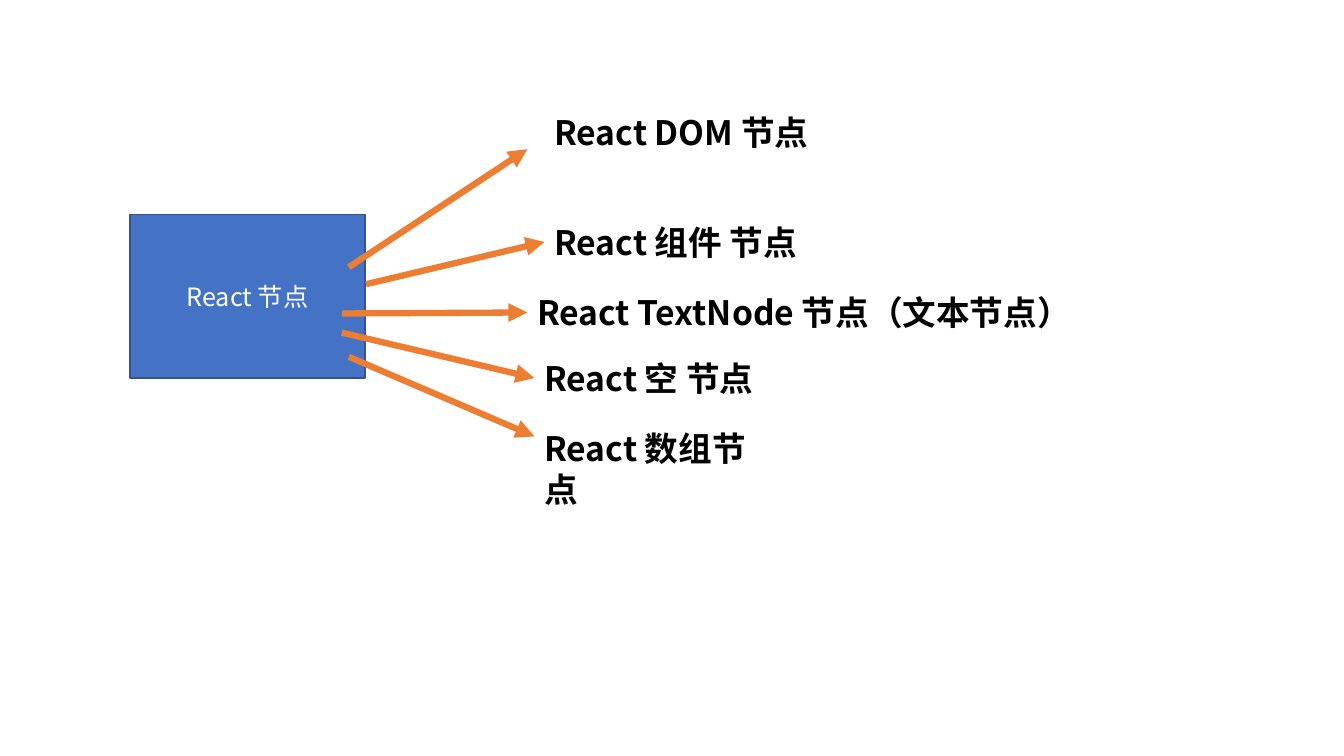
from lxml import etree
from pptx import Presentation
from pptx.dml.color import RGBColor
from pptx.enum.shapes import MSO_CONNECTOR, MSO_SHAPE
from pptx.enum.text import MSO_ANCHOR, MSO_AUTO_SIZE, PP_ALIGN
from pptx.oxml.ns import qn
from pptx.util import Inches, Pt

RECT = MSO_SHAPE.RECTANGLE
STRAIGHT = MSO_CONNECTOR.STRAIGHT
MIDDLE = MSO_ANCHOR.MIDDLE
CENTER = PP_ALIGN.CENTER
GROW = MSO_AUTO_SIZE.SHAPE_TO_FIT_TEXT

FONT = "Noto Sans CJK SC"
ROOT = ("React 节点", 1.29, 2.13, 2.33, 1.62)
LABEL_H = 0.5
LEFT_SIDE = 1

# text, left, top, width, arrow start, arrow end (None: middle of the label's left side)
NODES = [
    ("React DOM 节点", 5.4, 1.06, 3.46, (3.46, 2.65), (5.23, 1.48)),
    ("React 组件 节点", 5.4, 2.15, 3.46, (3.63, 2.82), None),
    ("React TextNode 节点（文本节点）", 5.23, 2.85, 5.9, (3.39, 3.11), None),
    ("React 空 节点", 5.3, 3.5, 2.48, (3.39, 3.3), None),
    ("React 数组节点", 5.3, 4.2, 2.48, (3.46, 3.54), (5.3, 4.33)),
]


def rgb(value):
    return RGBColor.from_string(value)


def write(tf, text, size, color, bold=False):
    tf.word_wrap = True
    p = tf.paragraphs[0]
    p.text = text
    p.font.size = Pt(size)
    p.font.bold = bold
    p.font.color.rgb = rgb(color)
    p.font.name = FONT
    props = p._p.pPr.find(qn("a:defRPr"))
    etree.SubElement(props, qn("a:ea"), typeface=FONT)
    return p


def add_root(s, text, *box):
    sp = s.shapes.add_shape(RECT, *map(Inches, box))
    sp.shadow.inherit = False
    sp.fill.solid()
    sp.fill.fore_color.rgb = rgb("4472C4")
    sp.line.color.rgb = rgb("325491")
    sp.line.width = Pt(1)
    sp.text_frame.vertical_anchor = MIDDLE
    write(sp.text_frame, text, 18, "FFFFFF").alignment = CENTER


def add_label(s, text, *box):
    sp = s.shapes.add_textbox(*map(Inches, box))
    sp.text_frame.auto_size = GROW
    write(sp.text_frame, text, 24, "000000", True)
    return sp


def add_arrow(s, start, end):
    cn = s.shapes.add_connector(STRAIGHT, *map(Inches, start + end))
    cn.line.color.rgb = rgb("ED7D31")
    cn.line.width = Pt(4.5)
    etree.SubElement(cn.line._get_or_add_ln(), qn("a:tailEnd"), type="triangle")
    etree.SubElement(cn._element.spPr, qn("a:effectLst"))
    return cn


prs = Presentation()
prs.slide_width, prs.slide_height = Inches(13.33), Inches(7.5)
s = prs.slides.add_slide(prs.slide_layouts[6])

add_root(s, *ROOT)
for text, left, top, width, start, end in NODES:
    label = add_label(s, text, left, top, width, LABEL_H)
    arrow = add_arrow(s, start, end or (left, top + LABEL_H / 2))
    if end is None:
        arrow.end_connect(label, LEFT_SIDE)

prs.save("out.pptx")
